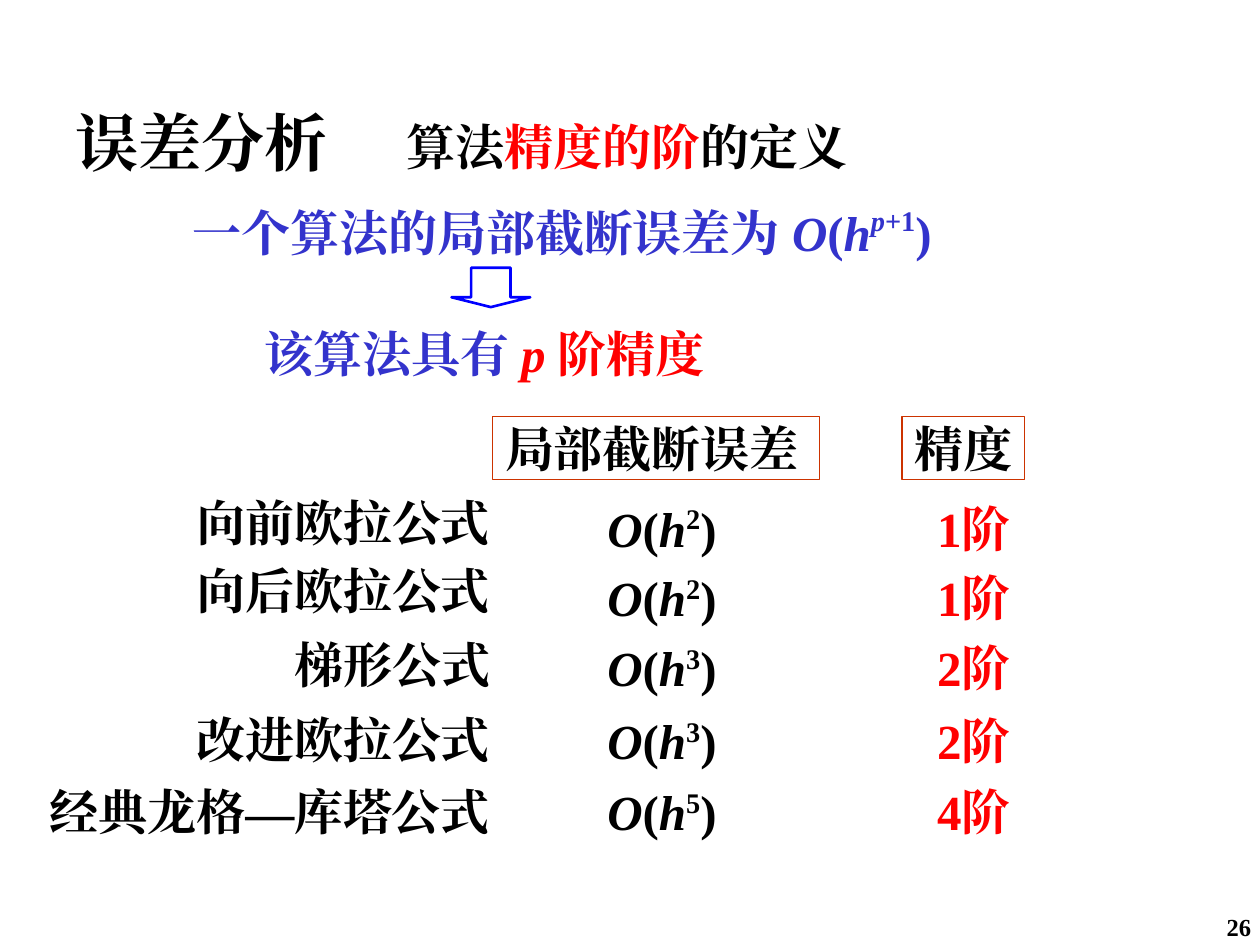
import pptx
import pptx.dml.color
import pptx.enum.shapes
import pptx.enum.text
import pptx.oxml.ns
import pptx.util

Pt = pptx.util.Pt
RGB = pptx.dml.color.RGBColor
Align = pptx.enum.text.PP_ALIGN
Shape = pptx.enum.shapes.MSO_SHAPE

BLACK = RGB(0x00, 0x00, 0x00)
RED = RGB(0xFF, 0x00, 0x00)
INDIGO = RGB(0x33, 0x33, 0xCC)
BLUE = RGB(0x00, 0x00, 0xFF)
RUST = RGB(0xCC, 0x33, 0x00)
FACE = "Times New Roman"

# Content: a run is (text, colour, italic, raised percent)
TITLE = [("误差分析", BLACK, False, 0)]
TOPIC = [("算法", BLACK, False, 0), ("精度的阶", RED, False, 0),
         ("的定义", BLACK, False, 0)]
GIVEN = [("一个算法的局部截断误差为 ", INDIGO, False, 0), ("O", INDIGO, True, 0),
         ("(", INDIGO, False, 0), ("h", INDIGO, True, 0),
         ("p", INDIGO, True, 40), ("+1", INDIGO, False, 40),
         (")", INDIGO, False, 0)]
THEN = [("该算法具有 ", INDIGO, False, 0), ("p ", RED, True, 0),
        ("阶精度", RED, False, 0)]
HEADS = [("局部截断误差", 281.5, 187), ("精度", 515.5, 70)]
# Method, power of h, order, top of the name, top of the values
ROWS = [
    ("向前欧拉公式", "2", "1阶", 280, 281),
    ("向后欧拉公式", "2", "1阶", 319, 320.5),
    ("梯形公式", "3", "2阶", 361.5, 360.5),
    ("改进欧拉公式", "3", "2阶", 404.5, 402.5),
    ("经典龙格—库塔公式", "5", "4阶", 445.5, 443),
]
LEFT, RIGHT = 20, 287       # names are flush right
VALUE, ORDER = 340, 188.5   # value column, tab to the order

deck = pptx.Presentation()
deck.slide_width, deck.slide_height = Pt(720), Pt(540)
slide = deck.slides.add_slide(deck.slide_layouts[6])


def write(shape, runs, size=28, align=Align.LEFT, after=5.2, wrap=True, tab=None):
    frame = shape.text_frame
    frame.word_wrap = wrap
    frame.vertical_anchor = pptx.enum.text.MSO_ANCHOR.MIDDLE
    para = frame.paragraphs[0]
    para.alignment = align
    para.space_after = Pt(after)
    if tab:
        props = para._p.get_or_add_pPr()
        stops = pptx.oxml.parse_xml(
            f'<a:tabLst {pptx.oxml.ns.nsdecls("a")}>'
            f'<a:tab pos="{Pt(tab)}" algn="l"/></a:tabLst>')
        props.append(stops)
    for text, color, slant, rise in runs:
        run = para.add_run()
        run.text = text
        look = {"name": FACE, "size": Pt(size), "bold": True, "italic": slant}
        for key, value in look.items():
            setattr(run.font, key, value)
        run.font.color.rgb = color
        props = run._r.get_or_add_rPr()
        props.append(pptx.oxml.parse_xml(
            f'<a:ea {pptx.oxml.ns.nsdecls("a")} typeface="{FACE}"/>'))
        if rise:
            props.set("baseline", str(rise * 1000))


def label(runs, x, y, wide, high=36, **style):
    box = slide.shapes.add_textbox(Pt(x), Pt(y), Pt(wide), Pt(high))
    write(box, runs, **style)


def frame(kind, x, y, wide, high, color, width):
    shape = slide.shapes.add_shape(kind, Pt(x), Pt(y), Pt(wide), Pt(high))
    shape.shadow.inherit = False
    shape.fill.background()
    shape.line.color.rgb = color
    shape.line.width = Pt(width)
    return shape


# Title and definition
label(TITLE, 36, 57, 166, 48, size=36, after=0)
label(TOPIC, 225.5, 65.5, 294)
label(GIVEN, 103, 114.5, 457)
label(THEN, 144, 183.5, 283)

# Arrow from the condition to the conclusion
arrow = frame(Shape.DOWN_ARROW, 258, 153, 45, 22.5, BLUE, 1.5)
arrow.adjustments[0], arrow.adjustments[1] = 0.5, 0.25

# Column heads
for text, x, wide in HEADS:
    head = frame(Shape.RECTANGLE, x, 238, wide, 36, RUST, 0.75)
    write(head, [(text, BLACK, False, 0)], wrap=False)

# Methods with their error and order
for name, power, order, top, level in ROWS:
    label([(name, BLACK, False, 0)], LEFT, top, RIGHT - LEFT, align=Align.RIGHT)
    label([("O", BLACK, True, 0), ("(", BLACK, False, 0), ("h", BLACK, True, 0),
           (power, BLACK, False, 35), (")", BLACK, False, 0),
           ("\t" + order, RED, False, 0)],
          VALUE, level, 260, 41, after=0, tab=ORDER)

# Page number
label([("26", BLACK, False, 0)], 662, 520, 60, 19, size=14,
      align=Align.RIGHT, after=0)

deck.save("out.pptx")
